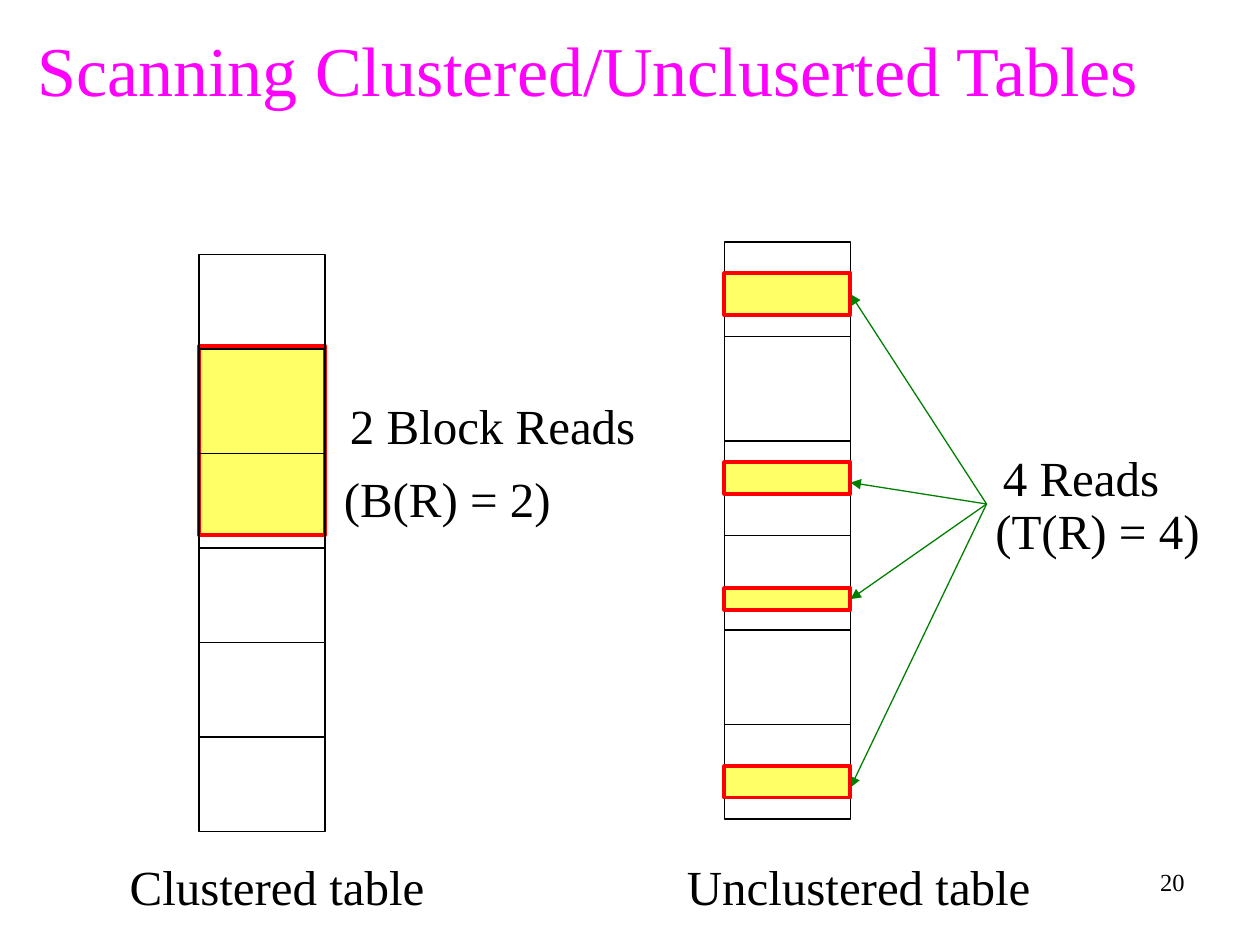
from lxml import etree
from pptx import Presentation
from pptx.dml.color import RGBColor
from pptx.enum.shapes import MSO_CONNECTOR, MSO_SHAPE
from pptx.enum.text import MSO_ANCHOR, MSO_AUTO_SIZE, PP_ALIGN
from pptx.oxml.ns import qn
from pptx.util import Inches, Pt

RECTANGLE = MSO_SHAPE.RECTANGLE
STRAIGHT = MSO_CONNECTOR.STRAIGHT
CENTER, RIGHT = PP_ALIGN.CENTER, PP_ALIGN.RIGHT
MIDDLE, TOP = MSO_ANCHOR.MIDDLE, MSO_ANCHOR.TOP
NO_FIT, GROW = MSO_AUTO_SIZE.NONE, MSO_AUTO_SIZE.SHAPE_TO_FIT_TEXT
RIGHT_SIDE = 3

FONT = "Times New Roman"
COLORS = {
    "title": "FF00FF",
    "ink": "000000",
    "paper": "FFFFFF",
    "record": "FFFF66",
    "record_edge": "FF0000",
    "arrow": "008000",
}

TABLE_WIDTH, TABLE_HEIGHT = 1, 4.58
BLOCK_OFFSETS = (0.75, 1.58, 2.33, 3.08, 3.83)
CLUSTERED = (1.58, 2.02)
UNCLUSTERED = (5.75, 1.92)
READS_POINT = (7.83, 4)
# Top and height of each scattered record, and where its arrow ends
SCATTERED = (
    (2.17, 0.33, 2.33),
    (3.67, 0.25, 3.83),
    (4.67, 0.17, 4.75),
    (6.08, 0.25, 6.25),
)


def color(name):
    return RGBColor.from_string(COLORS[name])


def write(frame, text, size, name="ink", align=CENTER, anchor=MIDDLE):
    frame.vertical_anchor = anchor
    para = frame.paragraphs[0]
    para.alignment = align
    span = para.add_run()
    span.text = text
    span.font.name = FONT
    span.font.size = Pt(size)
    span.font.color.rgb = color(name)


def add_title(slide, text):
    title = slide.shapes.title
    title.left, title.top = Inches(-0.42), Inches(0.17)
    title.width, title.height = Inches(10.17), Inches(0.75)
    title.text_frame.auto_size = NO_FIT
    write(title.text_frame, text, 40, "title")


def add_label(slide, text, left, top, width):
    box = slide.shapes.add_textbox(
        Inches(left), Inches(top), Inches(width), Inches(0.57))
    box.text_frame.word_wrap = False
    box.text_frame.auto_size = GROW
    write(box.text_frame, text, 28)


def add_page_number(slide, text):
    box = slide.shapes.add_textbox(
        Inches(7.42), Inches(6.83), Inches(2.08), Inches(0.5))
    box.text_frame.word_wrap = True
    write(box.text_frame, text, 14, align=RIGHT, anchor=TOP)


def add_box(slide, left, top, height, fill, edge, weight):
    box = slide.shapes.add_shape(
        RECTANGLE, Inches(left), Inches(top),
        Inches(TABLE_WIDTH), Inches(height))
    box.shadow.inherit = False
    if fill:
        box.fill.solid()
        box.fill.fore_color.rgb = color(fill)
    else:
        box.fill.background()
    box.line.color.rgb = color(edge)
    box.line.width = Pt(weight)
    return box


def add_record(slide, left, top, height):
    return add_box(slide, left, top, height, "record", "record_edge", 2.25)


def add_line(slide, start, end, name):
    line = slide.shapes.add_connector(
        STRAIGHT, *(Inches(value) for value in (*start, *end)))
    line.line.color.rgb = color(name)
    line.line.width = Pt(0.75)
    etree.SubElement(line._element.spPr, qn("a:effectLst"))
    return line


def add_arrow(slide, start, end):
    arrow = add_line(slide, start, end, "arrow")
    outline = arrow._element.spPr.find(qn("a:ln"))
    etree.SubElement(outline, qn("a:tailEnd"), type="triangle")
    return arrow


def add_block_column(slide, left, top, fill=None):
    add_box(slide, left, top, TABLE_HEIGHT, fill, "ink", 0.75)
    for offset in BLOCK_OFFSETS:
        y = top + offset
        add_line(slide, (left, y), (left + TABLE_WIDTH, y), "ink")


def add_record_reads(slide, left):
    right = left + TABLE_WIDTH
    for top, height, read_y in SCATTERED:
        arrow = add_arrow(slide, READS_POINT, (right, read_y))
        record = add_record(slide, left, top, height)
        # Join only the arrows that meet the middle of the side
        if abs(top + height / 2 - read_y) < 0.01:
            arrow.end_connect(record, RIGHT_SIDE)


def main():
    deck = Presentation()
    deck.slide_width, deck.slide_height = Inches(10), Inches(7.5)
    slide = deck.slides.add_slide(deck.slide_layouts[5])
    add_title(slide, "Scanning Clustered/Uncluserted Tables")
    add_page_number(slide, "20")

    # Clustered table: adjacent records under the block grid
    add_record(slide, CLUSTERED[0], 2.75, 1.5)
    add_block_column(slide, *CLUSTERED)
    add_label(slide, "Clustered table", 0.92, 6.75, 2.56)
    add_label(slide, "2 Block Reads", 2.66, 3.09, 2.5)
    add_label(slide, "(B(R) = 2)", 2.62, 3.67, 1.86)

    # Unclustered table: scattered records, one read each
    add_block_column(slide, *UNCLUSTERED, fill="paper")
    add_record_reads(slide, UNCLUSTERED[0])
    add_label(slide, "Unclustered table", 5.34, 6.75, 2.95)
    add_label(slide, "4 Reads", 7.85, 3.5, 1.46)
    add_label(slide, "(T(R) = 4)", 7.79, 3.92, 1.84)

    deck.save("out.pptx")


if __name__ == "__main__":
    main()
